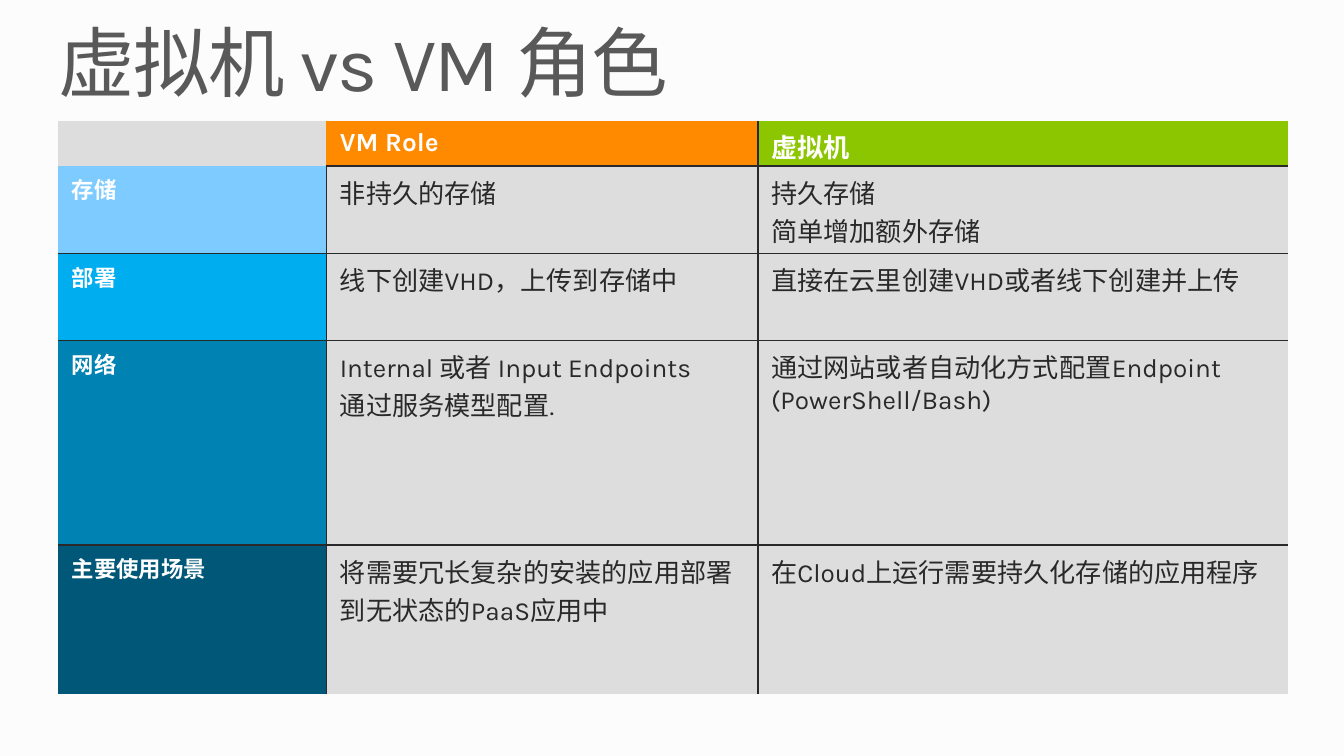
"""Build a slide comparing virtual machines with the VM role."""
from dataclasses import dataclass

from lxml.etree import SubElement
from pptx import Presentation
from pptx.dml.color import RGBColor
from pptx.enum.text import MSO_ANCHOR, MSO_AUTO_SIZE, PP_ALIGN
from pptx.oxml.ns import qn
from pptx.util import Cm, Pt

FONT = "Karla"
COLORS = {
    "background": "FCFCFC",
    "title": "595959",
    "ink": "292929",
    "white": "FFFFFF",
    "grey": "DDDDDD",
    "orange": "FF8A00",
    "green": "8CC600",
    "storage": "7ECCFF",
    "deployment": "00AEEF",
    "network": "0083B3",
    "scenario": "005778",
}
COLUMN_WIDTHS = (5.07, 8.15, 10.02)


@dataclass(frozen=True)
class Entry:
    lines: tuple[str, ...]
    fill: str = "grey"
    color: str = "ink"
    size: int = 14
    bold: bool = False


@dataclass(frozen=True)
class Row:
    height: float
    entries: tuple[Entry, ...]


def header(text: str, fill: str) -> Entry:
    return Entry((text,), fill, "white", 14, True)


def topic(text: str, fill: str) -> Entry:
    return Entry((text,), fill, "white", 12, True)


ROWS = (
    Row(0.86, (
        Entry(()),
        header("VM Role", "orange"),
        header("虚拟机", "green"),
    )),
    Row(1.65, (
        topic("存储", "storage"),
        Entry(("非持久的存储",)),
        Entry(("持久存储", "简单增加额外存储")),
    )),
    Row(1.65, (
        topic("部署", "deployment"),
        Entry(("线下创建VHD，上传到存储中",)),
        Entry(("直接在云里创建VHD或者线下创建并上传",)),
    )),
    Row(3.86, (
        topic("网络", "network"),
        Entry(("Internal 或者 Input Endpoints", "通过服务模型配置.")),
        Entry(("通过网站或者自动化方式配置Endpoint (PowerShell/Bash)",)),
    )),
    Row(2.82, (
        topic("主要使用场景", "scenario"),
        Entry(("将需要冗长复杂的安装的应用部署到无状态的PaaS应用中",)),
        Entry(("在Cloud上运行需要持久化存储的应用程序",)),
    )),
)


def rgb(name: str) -> RGBColor:
    return RGBColor.from_string(COLORS[name])


def add_span(para, text: str, size: int, color: str, bold: bool = False):
    span = para.add_run()
    span.text = text
    span.font.name = FONT
    span.font.size = Pt(size)
    span.font.bold = bold
    span.font.color.rgb = rgb(color)
    return span


def draw_borders(cell, row: int, column: int) -> None:
    visible = {
        "lnL": column > 0 and (row, column) != (0, 1),
        "lnR": column < len(COLUMN_WIDTHS) - 1 and (row, column) != (0, 0),
        "lnT": row > 0 and (row, column) != (1, 0),
        "lnB": row < len(ROWS) - 1 and (row, column) != (0, 0),
    }
    properties = cell._tc.get_or_add_tcPr()
    for side, shown in visible.items():
        line = SubElement(properties, qn(f"a:{side}"), w=str(Pt(1)))
        if shown:
            solid = SubElement(line, qn("a:solidFill"))
            SubElement(solid, qn("a:srgbClr"), val=COLORS["ink"])
        else:
            SubElement(line, qn("a:noFill"))


def fill_cell(cell, entry: Entry) -> None:
    cell.fill.solid()
    cell.fill.fore_color.rgb = rgb(entry.fill)
    frame = cell.text_frame
    for index, text in enumerate(entry.lines):
        para = frame.add_paragraph() if index else frame.paragraphs[0]
        add_span(para, text, entry.size, entry.color, entry.bold)
    if not entry.lines:
        SubElement(frame.paragraphs[0]._p, qn("a:endParaRPr"), sz=str(entry.size * 100))


def add_comparison(page) -> None:
    frame = page.shapes.add_table(
        len(ROWS), len(COLUMN_WIDTHS), Cm(1.1), Cm(2.28),
        Cm(sum(COLUMN_WIDTHS)), Cm(sum(row.height for row in ROWS)),
    )
    table = frame.table
    table.first_row = False
    table.horz_banding = False
    for column, width in zip(table.columns, COLUMN_WIDTHS):
        column.width = Cm(width)
    for row_index, row in enumerate(ROWS):
        table.rows[row_index].height = Cm(row.height)
        for column_index, entry in enumerate(row.entries):
            cell = table.cell(row_index, column_index)
            draw_borders(cell, row_index, column_index)
            fill_cell(cell, entry)


def set_title(page, text: str) -> None:
    box = page.shapes.title
    box.left, box.top, box.width, box.height = Cm(1.1), Cm(0.48), Cm(23.24), Cm(1.58)
    frame = box.text_frame
    frame.margin_left = frame.margin_right = frame.margin_top = frame.margin_bottom = 0
    frame.word_wrap = True
    frame.auto_size = MSO_AUTO_SIZE.SHAPE_TO_FIT_TEXT
    frame.vertical_anchor = MSO_ANCHOR.TOP
    para = frame.paragraphs[0]
    para.alignment = PP_ALIGN.LEFT
    para.line_spacing = 0.9
    span = add_span(para, text, 41, "title")
    span.font._element.set("spc", "-80")


def main() -> None:
    deck = Presentation()
    deck.slide_width, deck.slide_height = Cm(25.4), Cm(14.29)
    page = deck.slides.add_slide(deck.slide_layouts[5])
    page.background.fill.solid()
    page.background.fill.fore_color.rgb = rgb("background")
    set_title(page, "虚拟机 vs VM 角色")
    add_comparison(page)
    deck.save("out.pptx")


if __name__ == "__main__":
    main()
